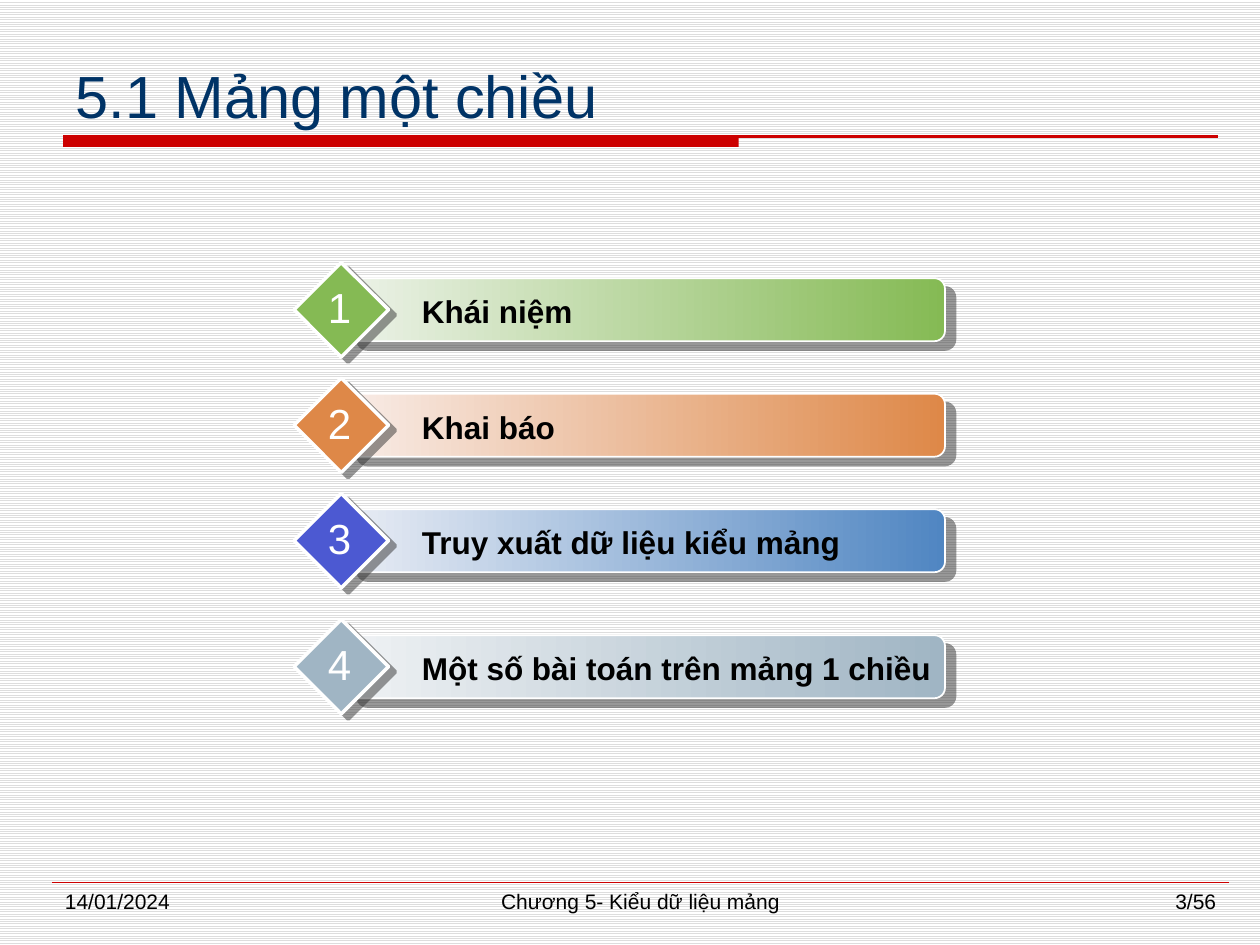
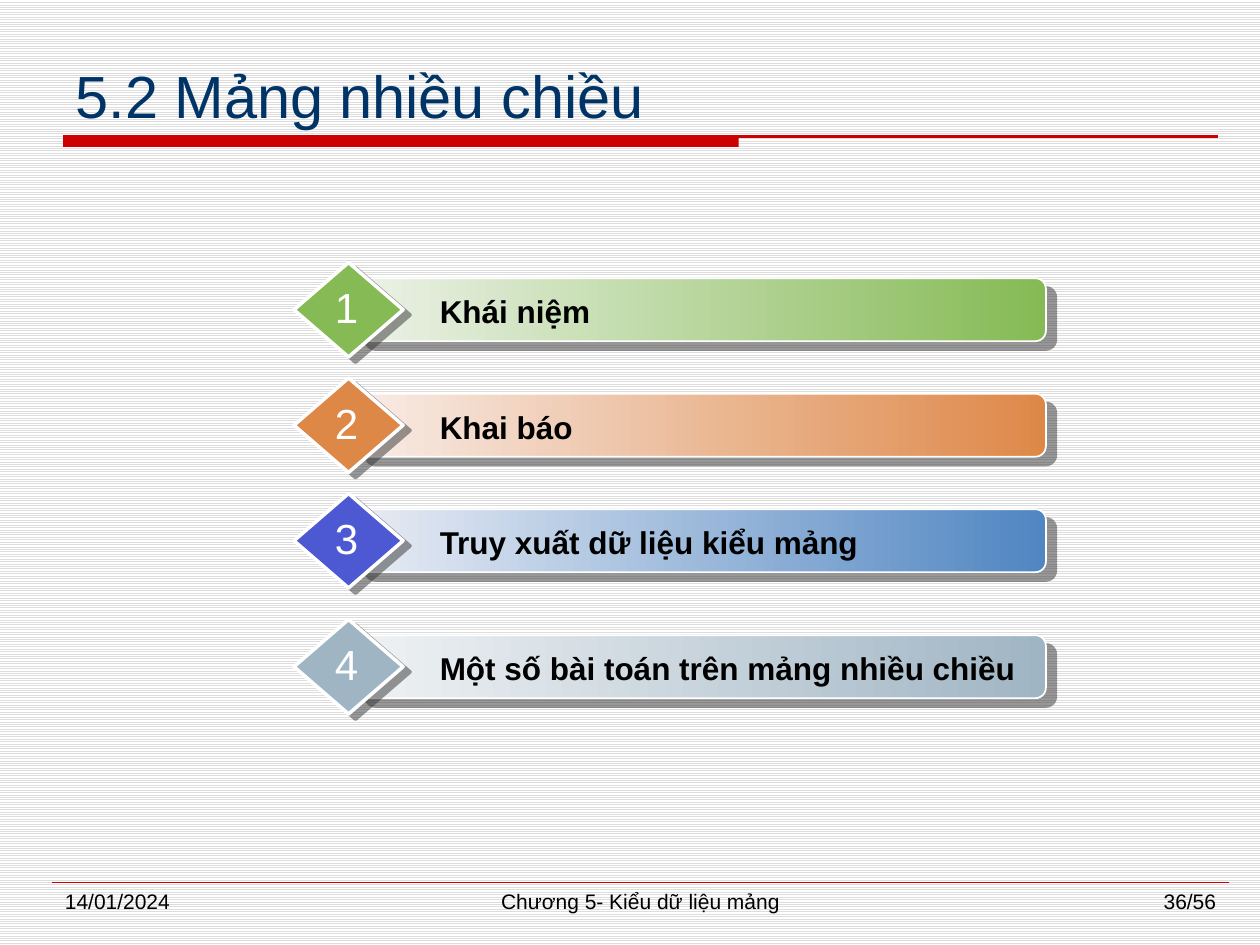
from dataclasses import dataclass

from lxml.etree import SubElement
from pptx import Presentation
from pptx.dml.color import RGBColor
from pptx.enum.dml import MSO_PATTERN
from pptx.enum.shapes import MSO_CONNECTOR, MSO_SHAPE
from pptx.enum.text import MSO_ANCHOR, MSO_AUTO_SIZE, PP_ALIGN
from pptx.oxml.ns import qn
from pptx.util import Emu, Inches, Pt

SLIDE_WIDTH, SLIDE_HEIGHT = Inches(10), Inches(7.5)
COLUMNS, ROWS = 120, 90
FONT = "Arial"
RED, NAVY, BLACK, WHITE = "CC0000", "003366", "000000", "FFFFFF"
STRIPE, SHADOW = "DDDDDD", "333333"
RULE_LEFT, RULE_TOP, RULE_WIDTH = 6, 13, 110
BAND_SHARE = 0.585
FOOTER_LEFT, FOOTER_TOP, FOOTER_WIDTH, FOOTER_HEIGHT = 5, 84, 112, 4.2
ITEM_LEFT = 28


@dataclass(frozen=True)
class ItemStyle:
    row: float
    pale: str
    full: str
    diamond: str


@dataclass(frozen=True)
class Agenda:
    title: str
    last_item: str
    number: str
    stretch: float


@dataclass(frozen=True)
class FooterPart:
    left: float
    width: float
    align: PP_ALIGN


ITEM_STYLES = [
    ItemStyle(25, "ECF2E8", "85BA54", "85BA54"),
    ItemStyle(36, "F8ECE7", "DE8848", "DE8848"),
    ItemStyle(47, "E8ECF4", "5086C2", "4C59D2"),
    ItemStyle(59, "EFF2F4", "A0B5C4", "A0B5C4"),
]
COMMON_ITEMS = ["Khái niệm", "Khai báo", "Truy xuất dữ liệu kiểu mảng"]
AGENDAS = [
    Agenda("5.1 Mảng một chiều", "Một số bài toán trên mảng 1 chiều", "3/56", 1),
    Agenda("5.2 Mảng nhiều chiều", "Một số bài toán trên mảng nhiều chiều", "36/56", 1.155),
]
FOOTER_PARTS = [
    FooterPart(FOOTER_LEFT, 26, PP_ALIGN.LEFT),
    FooterPart(35, 52, PP_ALIGN.CENTER),
    FooterPart(91, 26, PP_ALIGN.RIGHT),
]


def across(columns: float) -> Emu:
    return Emu(round(SLIDE_WIDTH * columns / COLUMNS))


def down(rows: float) -> Emu:
    return Emu(round(SLIDE_HEIGHT * rows / ROWS))


def area(left: float, top: float, width: float, height: float) -> tuple:
    return across(left), down(top), across(width), down(height)


def color(value: str) -> RGBColor:
    return RGBColor.from_string(value)


def write(box, text: str, size: float, ink: str, align=PP_ALIGN.LEFT,
          bold: bool = False, wrap: bool = True) -> None:
    frame = box.text_frame
    frame.text = text
    frame.word_wrap = wrap
    para = frame.paragraphs[0]
    para.alignment = align
    for span in para.runs:
        span.font.name = FONT
        span.font.size = Pt(size)
        span.font.bold = bold
        span.font.color.rgb = color(ink)


def add_line(page, left: float, top: float, width: float, weight: float) -> None:
    line = page.shapes.add_connector(
        MSO_CONNECTOR.STRAIGHT, across(left), down(top), across(left + width), down(top))
    line.line.color.rgb = color(RED)
    line.line.width = Pt(weight)
    SubElement(line.element.spPr, qn("a:effectLst"))


def add_shadow(shape, distance: float, angle: float) -> None:
    shape.shadow.inherit = False
    effects = shape.element.spPr.find(qn("a:effectLst"))
    shadow = SubElement(effects, qn("a:outerShdw"), blurRad="0", dist=str(Pt(distance)),
                        dir=str(round(angle * 60000)), algn="ctr", rotWithShape="0")
    tint = SubElement(shadow, qn("a:srgbClr"), val=SHADOW)
    SubElement(tint, qn("a:alpha"), val="50000")


def outline(shape, weight: float) -> None:
    shape.line.color.rgb = color(WHITE)
    shape.line.width = Pt(weight)


def add_item(page, style: ItemStyle, number: int, text: str, stretch: float) -> None:
    group = page.shapes.add_group_shape()

    def place(left: float, top: float, width: float, height: float) -> tuple:
        return area(ITEM_LEFT + left * stretch, style.row + top, width * stretch, height)

    bar = group.shapes.add_shape(MSO_SHAPE.ROUNDED_RECTANGLE, *place(5, 1.5, 57, 6))
    bar.fill.gradient()
    bar.fill.gradient_angle = 0
    for stop, position, tone in zip(bar.fill.gradient_stops, (0, 1), (style.pale, style.full)):
        stop.position = position
        stop.color.rgb = color(tone)
    outline(bar, 1)
    add_shadow(bar, 7.8, 40)

    diamond = group.shapes.add_shape(MSO_SHAPE.DIAMOND, *place(0, 0, 9, 9))
    diamond.fill.solid()
    diamond.fill.fore_color.rgb = color(style.diamond)
    outline(diamond, 2)
    add_shadow(diamond, 5, 37)

    label = group.shapes.add_textbox(*place(11, 2.25, 51, 4.8))
    write(label, text, 18, BLACK, bold=True)
    digit = group.shapes.add_textbox(*place(2, 1.25, 4.68, 6))
    write(digit, str(number), 24, WHITE, PP_ALIGN.CENTER, wrap=False)


def add_frame(page, agenda: Agenda) -> None:
    band = page.shapes.add_shape(
        MSO_SHAPE.RECTANGLE, *area(RULE_LEFT, RULE_TOP, RULE_WIDTH * BAND_SHARE, 1))
    band.shadow.inherit = False
    band.fill.solid()
    band.fill.fore_color.rgb = color(RED)
    band.line.fill.background()
    add_line(page, RULE_LEFT, RULE_TOP, RULE_WIDTH, 1.5)
    add_line(page, FOOTER_LEFT, FOOTER_TOP, FOOTER_WIDTH, 0.25)

    title = page.shapes.title
    title.left, title.top, title.width, title.height = area(RULE_LEFT, 4, RULE_WIDTH, 9)
    write(title, agenda.title, 34, NAVY)
    title.text_frame.vertical_anchor = MSO_ANCHOR.BOTTOM
    title.text_frame.auto_size = MSO_AUTO_SIZE.NONE

    texts = ["14/01/2024", "Chương 5- Kiểu dữ liệu mảng", agenda.number]
    for part, text in zip(FOOTER_PARTS, texts):
        box = page.shapes.add_textbox(*area(part.left, FOOTER_TOP, part.width, FOOTER_HEIGHT))
        write(box, text, 12, BLACK, part.align)


def add_agenda(deck, agenda: Agenda) -> None:
    page = deck.slides.add_slide(deck.slide_layouts[5])
    add_frame(page, agenda)
    items = [*COMMON_ITEMS, agenda.last_item]
    for number, (style, text) in enumerate(zip(ITEM_STYLES, items), start=1):
        add_item(page, style, number, text, agenda.stretch)


def main() -> None:
    deck = Presentation()
    deck.slide_width, deck.slide_height = SLIDE_WIDTH, SLIDE_HEIGHT
    backdrop = deck.slide_master.background.fill
    backdrop.patterned()
    backdrop.pattern = MSO_PATTERN.LIGHT_HORIZONTAL
    backdrop.fore_color.rgb = color(STRIPE)
    backdrop.back_color.rgb = color(WHITE)
    for agenda in AGENDAS:
        add_agenda(deck, agenda)
    deck.save("out.pptx")


if __name__ == "__main__":
    main()
